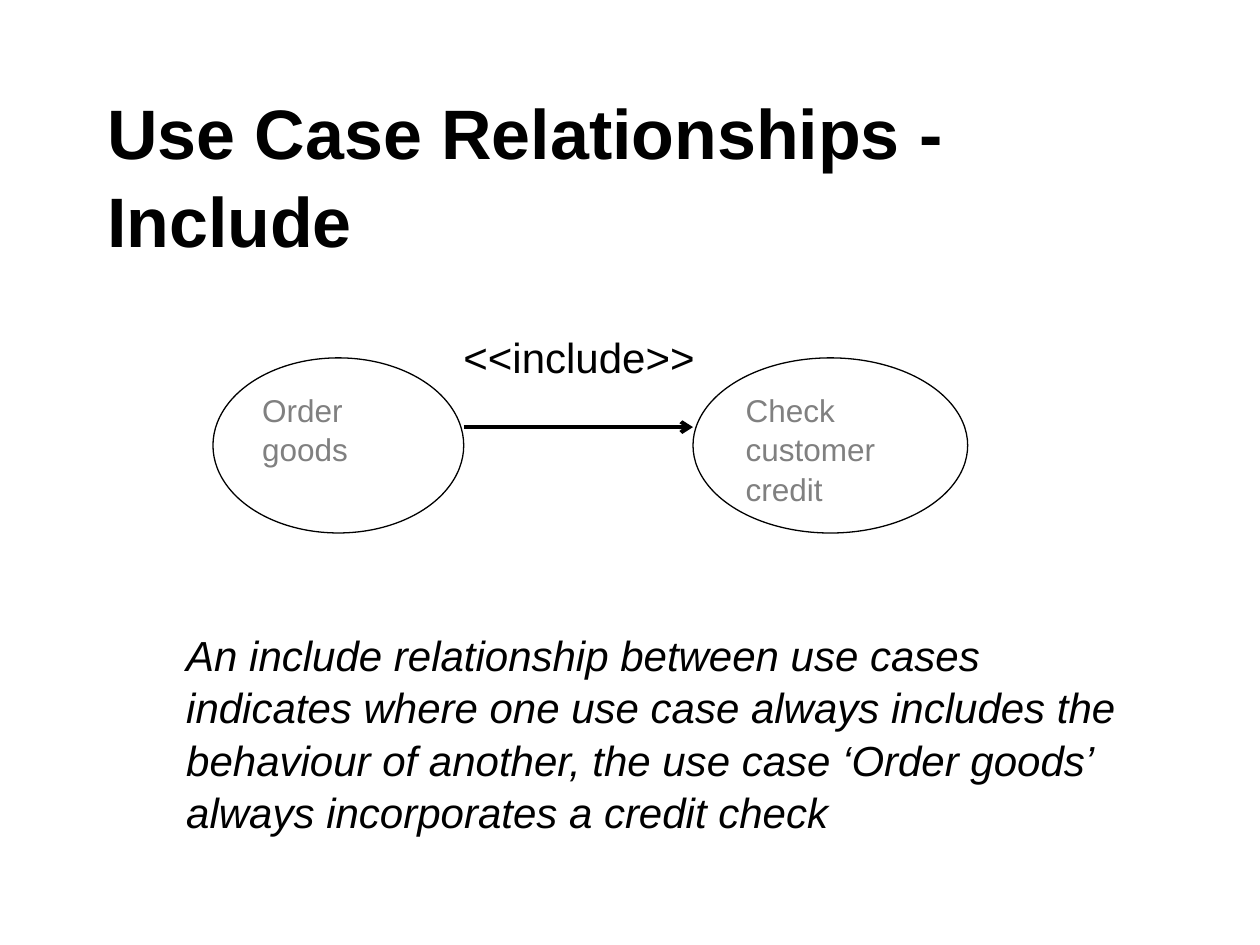
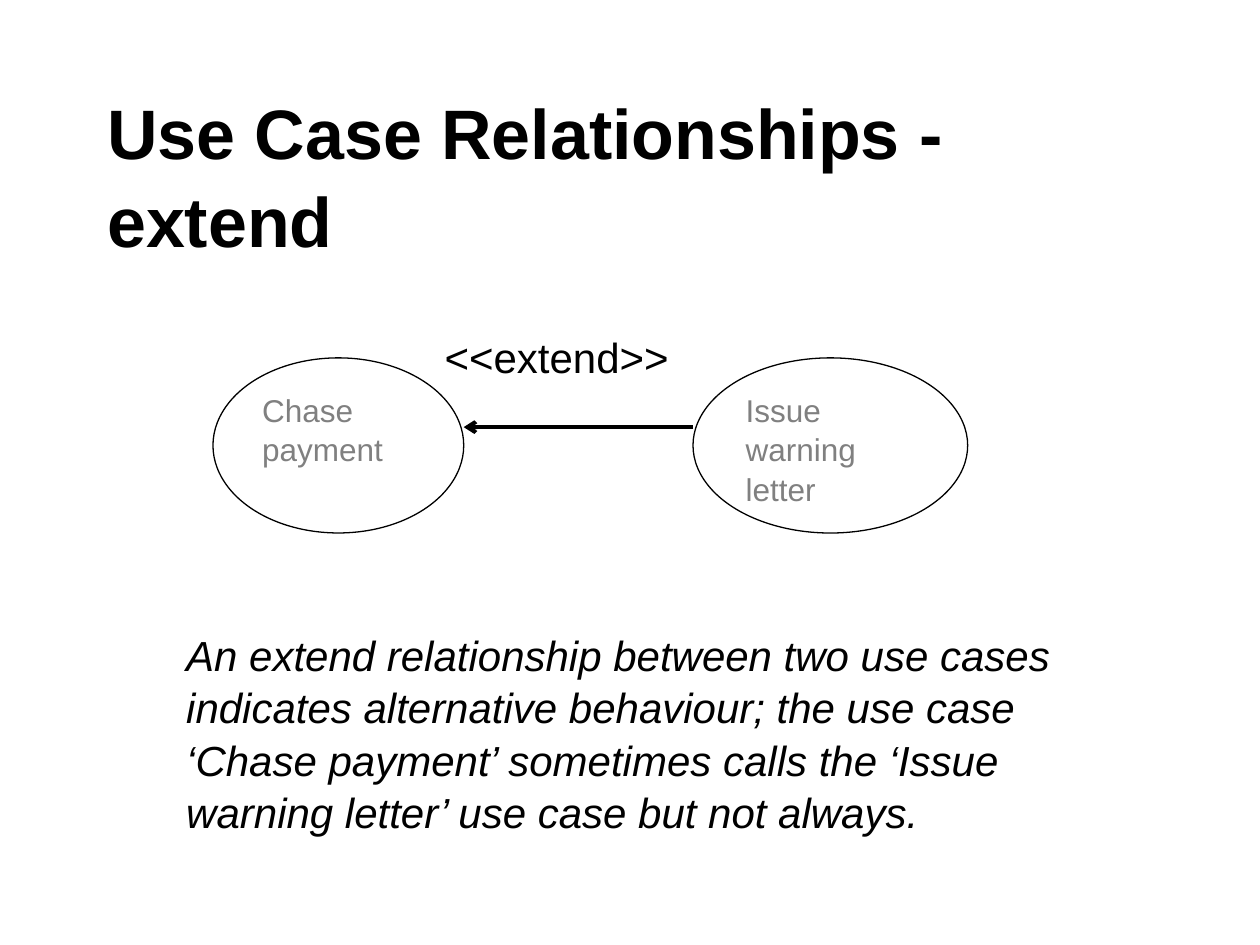
from dataclasses import dataclass

from lxml.etree import SubElement
from pptx import Presentation
from pptx.dml.color import RGBColor
from pptx.enum.shapes import MSO_CONNECTOR, MSO_SHAPE
from pptx.enum.text import MSO_ANCHOR, MSO_AUTO_SIZE, PP_ALIGN
from pptx.oxml.ns import qn
from pptx.util import Inches, Pt


@dataclass(frozen=True)
class Theme:
    font: str = "Arial"
    ink: RGBColor = RGBColor(0, 0, 0)
    grey: RGBColor = RGBColor(0x80, 0x80, 0x80)
    paper: RGBColor = RGBColor(0xFF, 0xFF, 0xFF)
    title: int = 40
    body: int = 24
    small: int = 18
    pitch: float = 1.04
    thin: float = 0.75
    thick: float = 2.25


THEME = Theme()


def write(shape, text, size=THEME.body, color=THEME.ink, bold=False,
          italic=False, anchor=MSO_ANCHOR.TOP, fit=MSO_AUTO_SIZE.NONE):
    frame = shape.text_frame
    frame.text = text
    frame.word_wrap = True
    frame.auto_size = fit
    frame.vertical_anchor = anchor
    para = frame.paragraphs[0]
    para.alignment = PP_ALIGN.LEFT
    para.line_spacing = THEME.pitch
    font = para.runs[0].font
    font.name, font.size = THEME.font, Pt(size)
    font.bold, font.italic = bold, italic
    font.color.rgb = color


def add_title(slide, box, text):
    title = slide.shapes.title
    title.left, title.top, title.width, title.height = map(Inches, box)
    write(title, text, size=THEME.title, bold=True, anchor=MSO_ANCHOR.MIDDLE)


def add_note(slide, box, text, **style):
    note = slide.shapes.add_textbox(*map(Inches, box))
    write(note, text, fit=MSO_AUTO_SIZE.SHAPE_TO_FIT_TEXT, **style)


def add_case(group, box, text):
    oval = group.shapes.add_shape(MSO_SHAPE.OVAL, *map(Inches, box))
    oval.shadow.inherit = False
    oval.fill.solid()
    oval.fill.fore_color.rgb = THEME.paper
    oval.line.color.rgb = THEME.ink
    oval.line.width = Pt(THEME.thin)
    write(oval, text, size=THEME.small, color=THEME.grey)


def add_arrow(group, start, end, y):
    arrow = group.shapes.add_connector(
        MSO_CONNECTOR.STRAIGHT, *map(Inches, (start, y, end, y)))
    arrow.line.color.rgb = THEME.ink
    arrow.line.width = Pt(THEME.thick)
    SubElement(arrow.line._get_or_add_ln(), qn("a:tailEnd"), type="arrow")
    SubElement(arrow._element.spPr, qn("a:effectLst"))


def add_cases(slide, box, names, forward):
    left, top, width, height = box
    widths = 1.99, 2.18
    ends = left + widths[0], left + width - widths[1]
    group = slide.shapes.add_group_shape()
    for x, wide, name in zip((left, ends[1]), widths, names):
        add_case(group, (x, top, wide, height), name)
    start, end = ends if forward else ends[::-1]
    add_arrow(group, start, end, top + 0.55)


def add_relation(deck, title, names, label, label_x, note, forward):
    slide = deck.slides.add_slide(deck.slide_layouts[5])
    add_title(slide, (0.75, 0.84, 8.5, 1.08), title)
    add_cases(slide, (1.69, 2.84, 5.99, 1.39), names, forward)
    add_note(slide, (label_x, 2.57, 2.28, 0.5), label)
    add_note(slide, (1.38, 4.93, 7.8, 1.72), note, italic=True)


def main():
    deck = Presentation()
    deck.slide_width, deck.slide_height = Inches(10), Inches(7.5)
    add_relation(
        deck, "Use Case Relationships - Include",
        ("Order goods", "Check customer credit"), "<<include>>", 3.58,
        "An include relationship between use cases indicates where one use "
        "case always includes the behaviour of another, the use case "
        "‘Order goods’ always incorporates a credit check",
        forward=True)
    add_relation(
        deck, "Use Case Relationships - extend",
        ("Chase payment", "Issue warning letter"), "<<extend>>", 3.43,
        "An extend relationship between two use cases indicates alternative "
        "behaviour; the use case ‘Chase payment’ sometimes calls the "
        "‘Issue warning letter’ use case but not always.",
        forward=False)
    deck.save("out.pptx")


if __name__ == "__main__":
    main()
